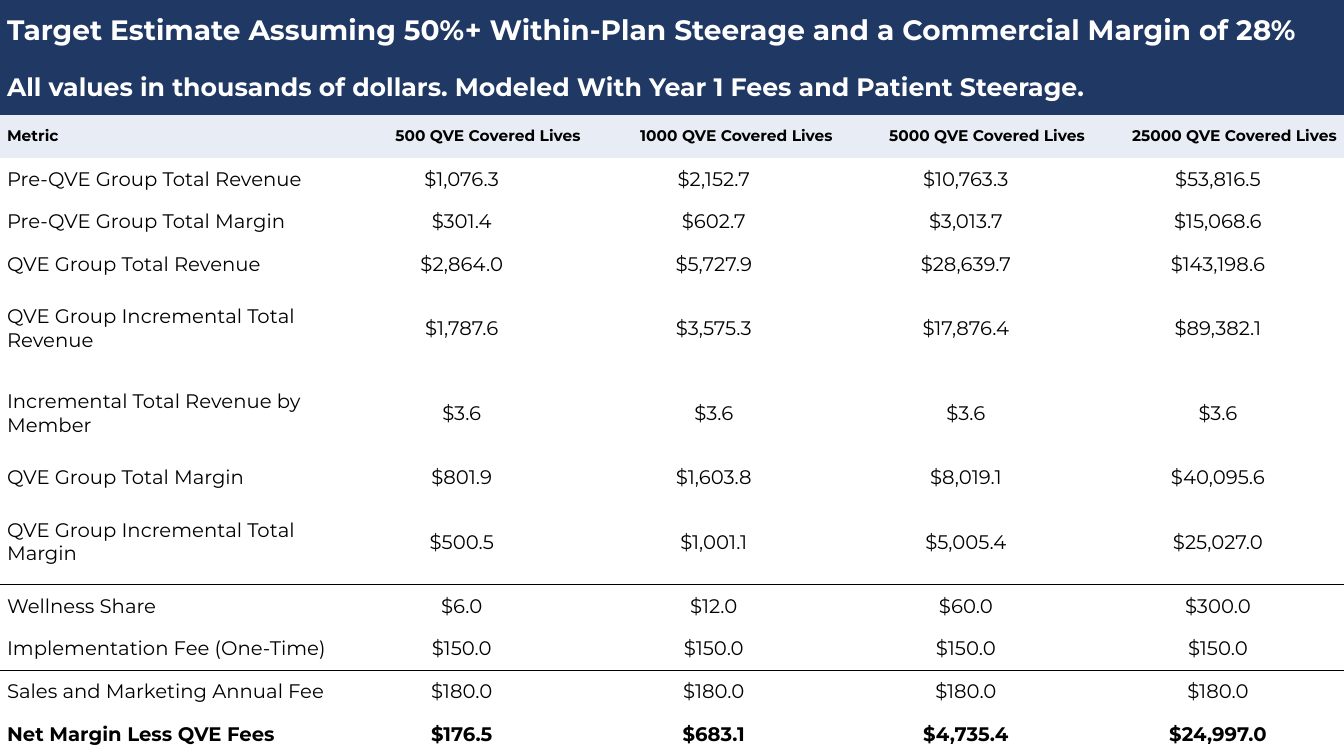
from pptx import Presentation
from pptx.dml.color import RGBColor
from pptx.enum.text import MSO_ANCHOR, PP_ALIGN
from pptx.oxml import parse_xml
from pptx.oxml.ns import nsdecls
from pptx.util import Inches, Pt

COLORS = {"navy": "203864", "header": "E7ECF5", "white": "FFFFFF", "black": "000000"}
FONT = "Montserrat"
NO_STYLE = "{2D5ABB26-0587-4C30-8999-92F81FD0307C}"

banners = [
    ("Target Estimate Assuming 50%+ Within-Plan Steerage and a Commercial Margin of 28%", 20, 0.6),
    ("All values in thousands of dollars. Modeled With Year 1 Fees and Patient Steerage.", 18, 0.54),
]
covered_lives = [500, 1000, 5000, 25000]
header = ["Metric"] + [f"{lives} QVE Covered Lives" for lives in covered_lives]
metrics = [
    ("Pre-QVE Group Total Revenue", 1076.3, 2152.7, 10763.3, 53816.5),
    ("Pre-QVE Group Total Margin", 301.4, 602.7, 3013.7, 15068.6),
    ("QVE Group Total Revenue", 2864.0, 5727.9, 28639.7, 143198.6),
    ("QVE Group Incremental Total Revenue", 1787.6, 3575.3, 17876.4, 89382.1),
    ("Incremental Total Revenue by Member", 3.6, 3.6, 3.6, 3.6),
    ("QVE Group Total Margin", 801.9, 1603.8, 8019.1, 40095.6),
    ("QVE Group Incremental Total Margin", 500.5, 1001.1, 5005.4, 25027.0),
    ("Wellness Share", 6.0, 12.0, 60.0, 300.0),
    ("Implementation Fee (One-Time)", 150.0, 150.0, 150.0, 150.0),
    ("Sales and Marketing Annual Fee", 180.0, 180.0, 180.0, 180.0),
    ("Net Margin Less QVE Fees", 176.5, 683.1, 4735.4, 24997.0),
]
double_height = {name for name, *_ in metrics if "Incremental" in name}
ruled_below = {"QVE Group Incremental Total Margin", "Implementation Fee (One-Time)"}
ruled_above = {"Wellness Share", "Sales and Marketing Annual Fee"}


def write_cell(cell, text, size, color, bold=False, align=PP_ALIGN.LEFT, fill=None):
    cell.margin_left = cell.margin_right = Inches(0.07)
    cell.margin_top = cell.margin_bottom = 0
    cell.vertical_anchor = MSO_ANCHOR.MIDDLE
    if fill:
        cell.fill.solid()
        cell.fill.fore_color.rgb = RGBColor.from_string(COLORS[fill])
    else:
        cell.fill.background()
    cell.text = text
    paragraph = cell.text_frame.paragraphs[0]
    paragraph.alignment = align
    paragraph.font.name = FONT
    paragraph.font.size = Pt(size)
    paragraph.font.bold = bold
    paragraph.font.color.rgb = RGBColor.from_string(COLORS[color])


def set_borders(cell, ruled_sides):
    black_line = f'<a:solidFill><a:srgbClr val="{COLORS["black"]}"/></a:solidFill>'
    for position, side in enumerate(["lnL", "lnR", "lnT", "lnB"]):
        line = black_line if side in ruled_sides else "<a:noFill/>"
        cell._tc.get_or_add_tcPr().insert(position, parse_xml(
            f'<a:{side} {nsdecls("a")} w="{Pt(1)}">{line}</a:{side}>'))


presentation = Presentation()
presentation.slide_width = Inches(13.33)
presentation.slide_height = Inches(7.5)
slide = presentation.slides.add_slide(presentation.slide_layouts[6])

# Table filling the slide
first_metric = len(banners) + 1
shape = slide.shapes.add_table(first_metric + len(metrics), len(header),
                               0, 0, Inches(13.33), Inches(7.5))
table = shape.table
table.first_row = table.horz_banding = False
table._tbl.tblPr.find("{*}tableStyleId").text = NO_STYLE
for column, width in zip(table.columns, [3.33] + [2.5] * len(covered_lives)):
    column.width = Inches(width)

# Row heights: the space below the banners is shared, wrapped labels get two shares
banner_height = sum(height for _, _, height in banners)
row_height = (7.5 - banner_height) / (1 + len(metrics) + len(double_height))

# Banner rows
for row, (text, size, height) in enumerate(banners):
    table.rows[row].height = Inches(height)
    table.cell(row, 0).merge(table.cell(row, len(header) - 1))
    write_cell(table.cell(row, 0), text, size, "white", bold=True, fill="navy")

# Header row
table.rows[len(banners)].height = Inches(row_height)
for column, text in enumerate(header):
    write_cell(table.cell(len(banners), column), text, 11, "black", bold=True,
               align=PP_ALIGN.RIGHT if column else PP_ALIGN.LEFT, fill="header")

# Metric rows
for row, (name, *values) in enumerate(metrics, first_metric):
    table.rows[row].height = Inches(row_height * (2 if name in double_height else 1))
    ruled_sides = [side for side, names in (("lnT", ruled_above), ("lnB", ruled_below))
                   if name in names]
    texts = [name] + [f"${value:,.1f}" for value in values]
    for column, text in enumerate(texts):
        cell = table.cell(row, column)
        write_cell(cell, text, 14, "black", bold=name.startswith("Net Margin"),
                   align=PP_ALIGN.CENTER if column else PP_ALIGN.LEFT)
        set_borders(cell, ruled_sides)

presentation.save("out.pptx")
